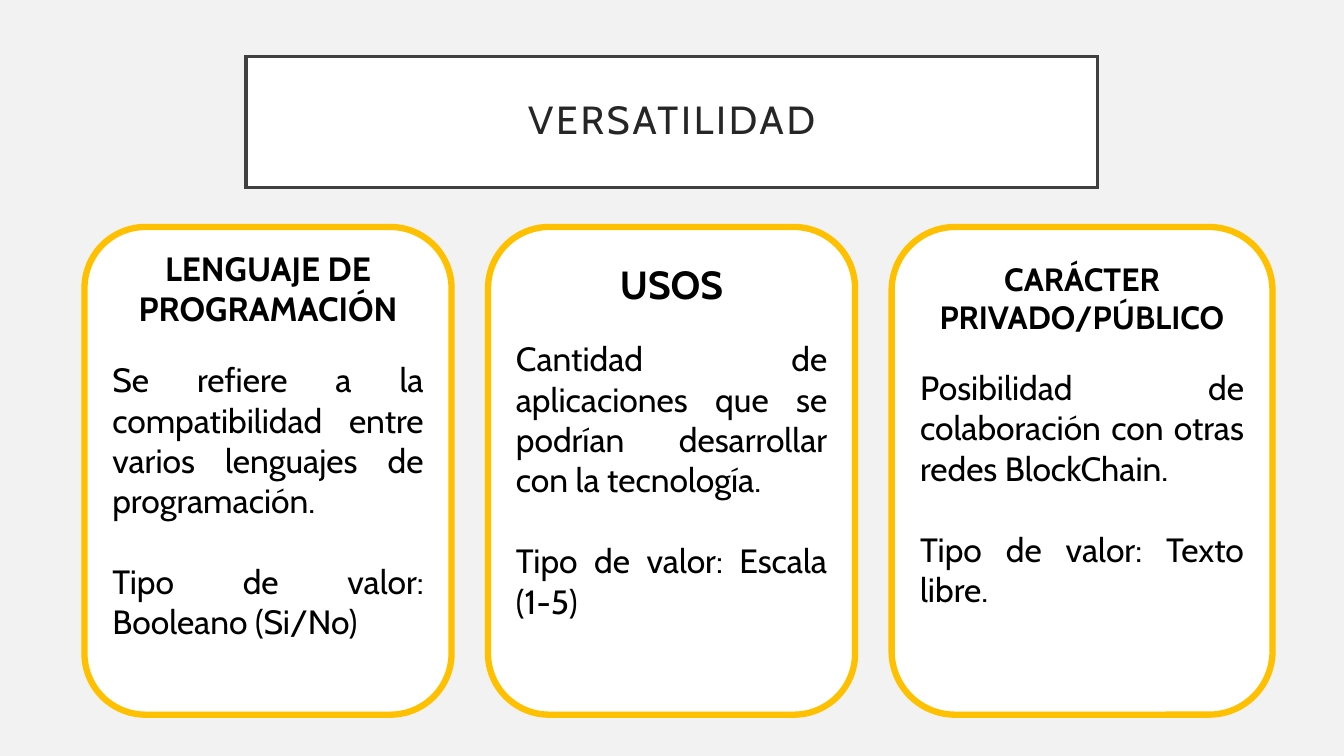
from lxml import etree
from pptx import Presentation
from pptx.dml.color import RGBColor
from pptx.enum.shapes import MSO_SHAPE
from pptx.enum.text import MSO_ANCHOR, MSO_AUTO_SIZE, PP_ALIGN
from pptx.oxml.ns import qn
from pptx.util import Cm, Pt

ROUNDED = MSO_SHAPE.ROUNDED_RECTANGLE
TOP, MIDDLE = MSO_ANCHOR.TOP, MSO_ANCHOR.MIDDLE
CENTER, JUSTIFY = PP_ALIGN.CENTER, PP_ALIGN.JUSTIFY
FONT = "Cabin"

TITLE = "VERSATILIDAD"
# heading, heading size, description, value type, card width, top inset
CARDS = [
    ("LENGUAJE DE PROGRAMACIÓN", 24,
     "Se refiere a la compatibilidad entre varios lenguajes de programación.",
     "Tipo de valor: Booleano (Si/No)", 9.25, 0.07),
    ("USOS", 28,
     "Cantidad de aplicaciones que se podrían desarrollar con la tecnología.",
     "Tipo de valor: Escala (1-5)", 9.25, 0.39),
    ("CARÁCTER PRIVADO/PÚBLICO", 23,
     "Posibilidad de colaboración con otras redes BlockChain.",
     "Tipo de valor: Texto libre.", 9.6, 0.34),
]
CARD_LEFT, CARD_TOP, CARD_HEIGHT, CARD_PITCH = 2.13, 5.72, 12.29, 10.17
BODY_SIZE, HEADING_GAP, BODY_GAP = 24, 22, 29


def color(value):
    return RGBColor.from_string(value)


def paint(shape, line_color, line_width):
    shape.fill.solid()
    shape.fill.fore_color.rgb = color("FFFFFF")
    shape.line.color.rgb = color(line_color)
    shape.line.width = Pt(line_width)


def write(para, text, size, text_color, align, bold=False, gap=0):
    para.alignment = align
    para.space_before = Pt(gap)
    span = para.add_run()
    span.text = text
    span.font.name = FONT
    span.font.size = Pt(size)
    span.font.bold = bold
    span.font.color.rgb = color(text_color)
    return span


def add_title(page):
    box = page.shapes.title
    box.left, box.top, box.width, box.height = Cm(6.2), Cm(1.42), Cm(21.46), Cm(3.3)
    paint(box, "404040", 2.5)
    etree.SubElement(box.line._get_or_add_ln(), qn("a:miter"), lim="800000")
    frame = box.text_frame
    frame.auto_size = MSO_AUTO_SIZE.NONE
    frame.vertical_anchor = MIDDLE
    para = frame.paragraphs[0]
    para.line_spacing = 0.9
    span = write(para, TITLE, 28, "262626", CENTER)
    span.font._element.set("spc", "200")


def add_card(page, index, card):
    heading, heading_size, description, value_type, width, inset = card
    box = page.shapes.add_shape(ROUNDED, Cm(CARD_LEFT + index * CARD_PITCH),
                                Cm(CARD_TOP), Cm(width), Cm(CARD_HEIGHT))
    box.shadow.inherit = False
    paint(box, "FFC000", 4.5)
    frame = box.text_frame
    frame.word_wrap = True
    frame.vertical_anchor = TOP
    frame.margin_top = Cm(inset)
    write(frame.paragraphs[0], heading, heading_size, "000000", CENTER, bold=True)
    for text, gap in ((description, HEADING_GAP), (value_type, BODY_GAP)):
        write(frame.add_paragraph(), text, BODY_SIZE, "000000", JUSTIFY, gap=gap)


def main():
    deck = Presentation()
    deck.slide_width, deck.slide_height = Cm(33.87), Cm(19.05)
    page = deck.slides.add_slide(deck.slide_layouts[5])
    page.background.fill.solid()
    page.background.fill.fore_color.rgb = color("F2F2F2")
    add_title(page)
    for index, card in enumerate(CARDS):
        add_card(page, index, card)
    deck.save("out.pptx")


if __name__ == "__main__":
    main()
